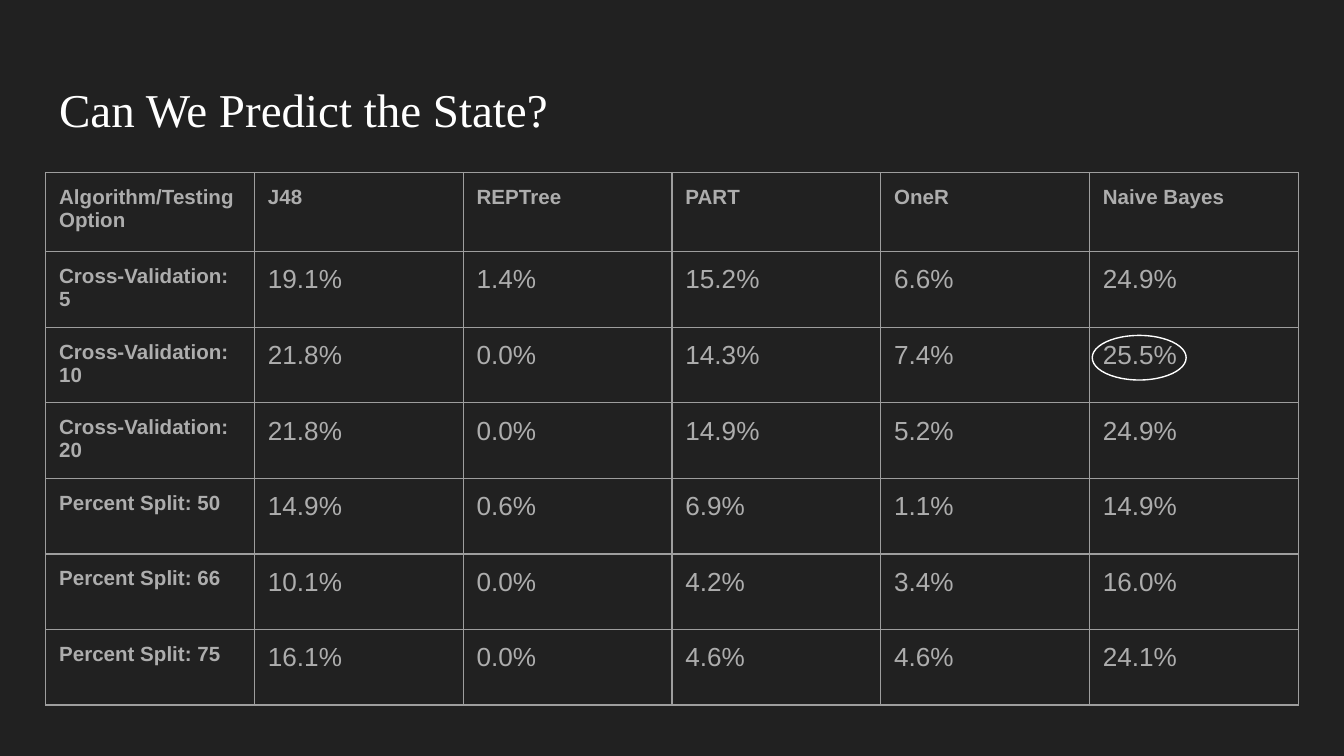
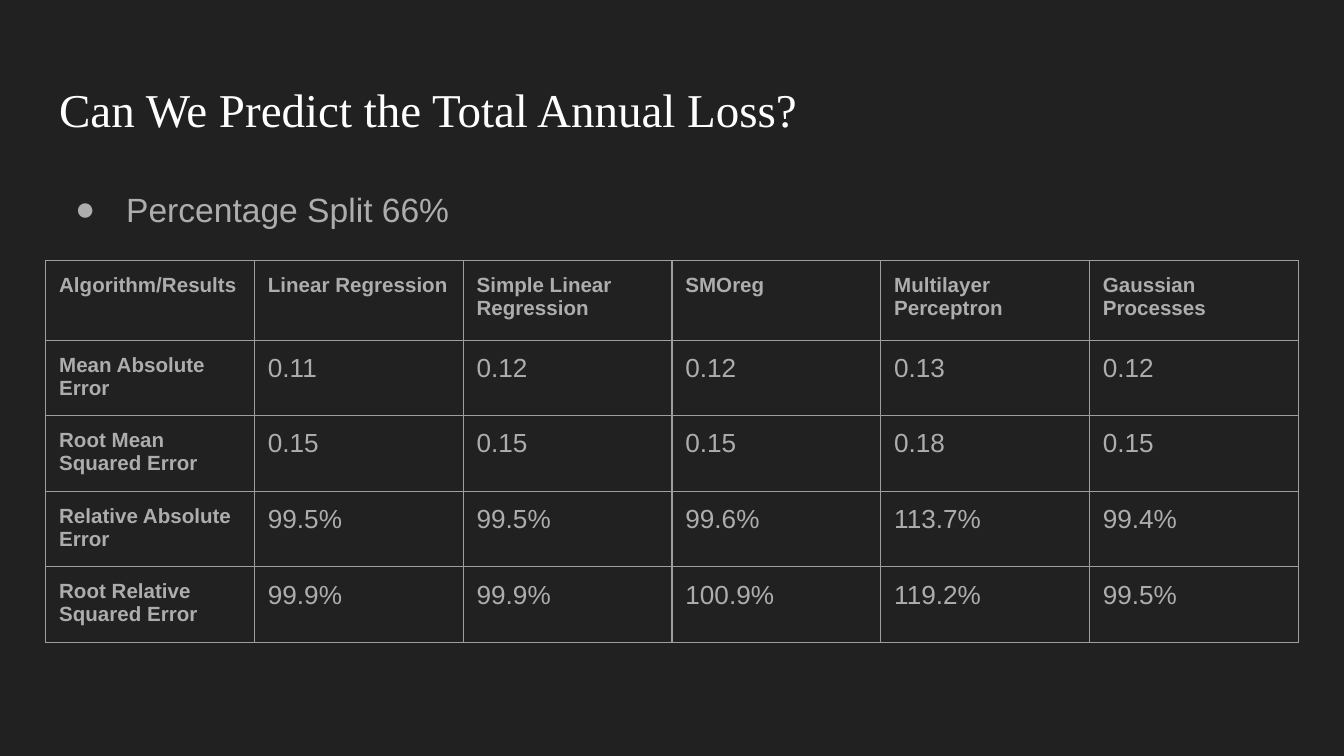
from collections import namedtuple

from lxml.etree import SubElement
from pptx import Presentation
from pptx.dml.color import RGBColor
from pptx.enum.shapes import MSO_SHAPE as Shape
from pptx.enum.text import MSO_ANCHOR as Anchor, PP_ALIGN as Align
from pptx.oxml import parse_xml
from pptx.oxml.ns import nsdecls, qn
from pptx.util import Inches, Pt

Box = namedtuple("Box", "left top width height")

COLORS = {"back": "212121", "title": "FFFFFF", "text": "ADADAD", "border": "9E9E9E"}
TITLE_FONT, TEXT_FONT = "Times New Roman", "Arial"
WIDTH, HEIGHT = Inches(10), Inches(5.625)
INSET = Inches(0.1)
LINE = Pt(0.75)
HEADER_ROW, DATA_ROW = 0.105, 0.1  # shares of the slide height

STATE_ROWS = [
    ["Algorithm/Testing Option", "J48", "REPTree", "PART", "OneR", "Naive Bayes"],
    ["Cross-Validation: 5", "19.1%", "1.4%", "15.2%", "6.6%", "24.9%"],
    ["Cross-Validation: 10", "21.8%", "0.0%", "14.3%", "7.4%", "25.5%"],
    ["Cross-Validation: 20", "21.8%", "0.0%", "14.9%", "5.2%", "24.9%"],
    ["Percent Split: 50", "14.9%", "0.6%", "6.9%", "1.1%", "14.9%"],
    ["Percent Split: 66", "10.1%", "0.0%", "4.2%", "3.4%", "16.0%"],
    ["Percent Split: 75", "16.1%", "0.0%", "4.6%", "4.6%", "24.1%"],
]
LOSS_ROWS = [
    ["Algorithm/Results", "Linear Regression", "Simple Linear Regression",
     "SMOreg", "Multilayer Perceptron", "Gaussian Processes"],
    ["Mean Absolute Error", "0.11", "0.12", "0.12", "0.13", "0.12"],
    ["Root Mean Squared Error", "0.15", "0.15", "0.15", "0.18", "0.15"],
    ["Relative Absolute Error", "99.5%", "99.5%", "99.6%", "113.7%", "99.4%"],
    ["Root Relative Squared Error", "99.9%", "99.9%", "100.9%", "119.2%", "99.5%"],
]


def color(name):
    return RGBColor.from_string(COLORS[name])


def content_box(top, height):
    """Box between the side margins; top and height are shares of the slide."""
    margin = 0.034
    return Box(int(WIDTH * margin), int(HEIGHT * top),
               int(WIDTH * (1 - 2 * margin)), int(HEIGHT * height))


def add_span(para, text, size, font=TEXT_FONT, ink="text", bold=False):
    span = para.add_run()
    span.text = text
    span.font.size, span.font.name, span.font.bold = Pt(size), font, bold
    span.font.color.rgb = color(ink)


def set_frame(frame, anchor):
    frame.word_wrap = True
    frame.vertical_anchor = anchor
    frame.margin_left = frame.margin_right = INSET
    frame.margin_top = frame.margin_bottom = INSET


# Title and bullet text
def add_title_page(deck, text):
    page = deck.slides.add_slide(deck.slide_layouts[5])
    title = page.shapes.title
    title.left, title.top, title.width, title.height = content_box(0.087, 0.112)
    set_frame(title.text_frame, Anchor.BOTTOM)
    para = title.text_frame.paragraphs[0]
    para.alignment = Align.LEFT
    add_span(para, text, 25.2, TITLE_FONT, "title")
    return page


def add_bullet(page, box, text):
    frame = page.shapes.add_textbox(*box).text_frame
    set_frame(frame, Anchor.TOP)
    para = frame.paragraphs[0]
    para.line_spacing = 1.15
    props = para._p.get_or_add_pPr()
    props.set("marL", str(Inches(0.5)))
    props.set("indent", str(Inches(-0.38)))
    ink = SubElement(props, qn("a:buClr"))
    SubElement(ink, qn("a:srgbClr"), val=COLORS["text"])
    SubElement(props, qn("a:buFont"), typeface=TEXT_FONT)
    SubElement(props, qn("a:buChar"), char="●")
    add_span(para, text, 18)


# Results table
def set_borders(cell):
    props = cell._tc.get_or_add_tcPr()
    for index, side in enumerate(("lnL", "lnR", "lnT", "lnB")):
        props.insert(index, parse_xml(
            f'<a:{side} {nsdecls("a")} w="{LINE}"><a:solidFill>'
            f'<a:srgbClr val="{COLORS["border"]}"/></a:solidFill></a:{side}>'))


def add_results(page, top, rows):
    """Add the table and return a function that gives the box of a cell."""
    box = content_box(top, HEADER_ROW + DATA_ROW * (len(rows) - 1))
    table = page.shapes.add_table(len(rows), len(rows[0]), *box).table
    table.first_row = table.horz_banding = False
    column_width = box.width // len(rows[0])
    for column in table.columns:
        column.width = column_width
    for r, values in enumerate(rows):
        table.rows[r].height = int(HEIGHT * (DATA_ROW if r else HEADER_ROW))
        for c, value in enumerate(values):
            cell = table.cell(r, c)
            cell.fill.background()
            set_borders(cell)
            cell.margin_left = cell.margin_right = INSET
            cell.margin_top = cell.margin_bottom = INSET
            heading = r == 0 or c == 0
            add_span(cell.text_frame.paragraphs[0], value,
                     11 if heading else 14, bold=heading)

    def cell_box(r, c):
        above = sum(table.rows[i].height for i in range(r))
        return Box(box.left + c * column_width, box.top + above,
                   column_width, table.rows[r].height)
    return cell_box


def circle_value(page, cell):
    ring = page.shapes.add_shape(
        Shape.OVAL, cell.left + Inches(0.02), cell.top + Inches(0.06),
        int(cell.width * 0.45), int(cell.height * 0.59))
    ring.shadow.inherit = False
    ring.fill.background()
    ring.line.color.rgb = color("title")
    ring.line.width = LINE


# Slides
def build_state_page(deck):
    page = add_title_page(deck, "Can We Predict the State?")
    cell_box = add_results(page, 0.228, STATE_ROWS)
    circle_value(page, cell_box(2, 5))


def build_loss_page(deck):
    page = add_title_page(deck, "Can We Predict the Total Annual Loss?")
    add_results(page, 0.345, LOSS_ROWS)
    add_bullet(page, content_box(0.224, 0.094), "Percentage Split 66%")


def main():
    deck = Presentation()
    deck.slide_width, deck.slide_height = WIDTH, HEIGHT
    back = deck.slide_master.background.fill
    back.solid()
    back.fore_color.rgb = color("back")
    build_state_page(deck)
    build_loss_page(deck)
    deck.save("out.pptx")


if __name__ == "__main__":
    main()
